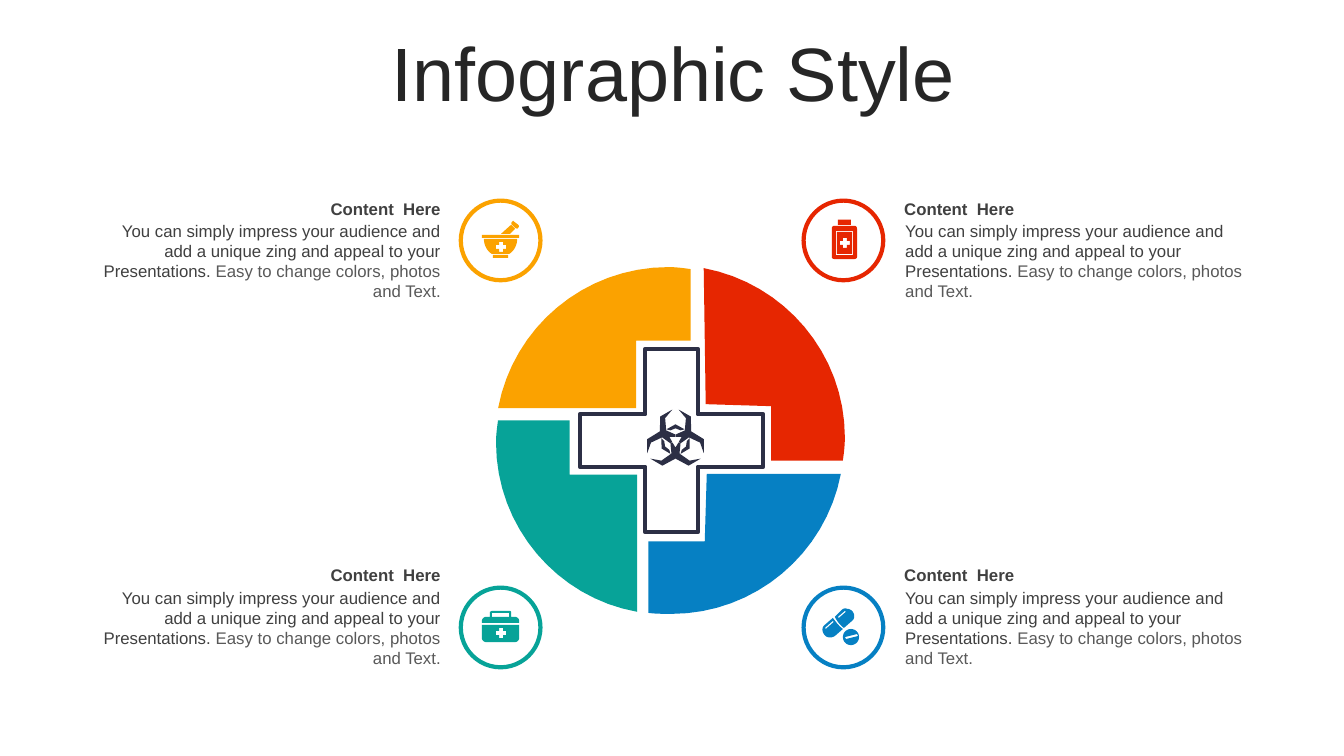
"""Build the four-part medical infographic slide."""
from math import cos, radians, sin

from pptx import Presentation
from pptx.dml.color import RGBColor
from pptx.enum.shapes import MSO_SHAPE as Shape
from pptx.enum.text import MSO_ANCHOR as Anchor
from pptx.enum.text import MSO_AUTO_SIZE as AutoSize
from pptx.enum.text import PP_ALIGN as Align
from pptx.util import Inches, Pt

ORANGE, RED, BLUE, TEAL = "FBA200", "E62601", "0680C3", "07A398"
NAVY, WHITE = "2C2F45", "FFFFFF"
HEADING = "Content  Here"
MESSAGE = ("You can simply impress your audience and add a unique zing "
           "and appeal to your Presentations. ")
DETAIL = "Easy to change colors, photos and Text."
CENTRE = (6.7, 4.37)


def color(value):
    return RGBColor.from_string(value)


def apply(target, values):
    for name, value in values.items():
        setattr(target, name, value)


def rectangle(left, top, right, bottom):
    return [(left, top), (right, top), (right, bottom), (left, bottom)]


def cross(x, y, arm=0.05, half=0.02):
    return [(x - half, y - arm), (x + half, y - arm), (x + half, y - half),
            (x + arm, y - half), (x + arm, y + half), (x + half, y + half),
            (x + half, y + arm), (x - half, y + arm), (x - half, y + half),
            (x - arm, y + half), (x - arm, y - half), (x - half, y - half)]


def circle(x, y, radius, sides=32):
    angles = [radians(360 * side / sides) for side in range(sides)]
    return [(x + radius * cos(a), y + radius * sin(a)) for a in angles]


def flatten(contour, steps=16):
    """Turn six-number Bézier entries of a contour into short straight lines."""
    points = []
    for entry in contour:
        if len(entry) == 2:
            points.append(entry)
            continue
        knots = [points[-1], entry[:2], entry[2:4], entry[4:]]
        for step in range(1, steps + 1):
            t = step / steps
            weights = ((1 - t) ** 3, 3 * t * (1 - t) ** 2, 3 * t * t * (1 - t), t ** 3)
            points.append(tuple(sum(w * knot[axis] for w, knot in zip(weights, knots))
                                for axis in (0, 1)))
    return points


def turn(offsets, degrees):
    c, s = cos(radians(degrees)), sin(radians(degrees))
    return [(CENTRE[0] + x * c - y * s, CENTRE[1] + x * s + y * c) for x, y in offsets]


class SlideBuilder:
    """Hold the text style and the slide that receives each element."""

    def __init__(self, presentation):
        self.slide = presentation.slides.add_slide(presentation.slide_layouts[5])
        self.font = {"name": "Arial", "size": Pt(12), "bold": False}

    def run(self, paragraph, text, fill, **changes):
        run = paragraph.add_run()
        run.text = text
        apply(run.font, {**self.font, **changes})
        run.font.color.rgb = color(fill)

    def place(self, shape, box):
        apply(shape, dict(zip(("left", "top", "width", "height"), map(Inches, box))))

    def title(self, text, box):
        shape = self.slide.shapes.title
        self.place(shape, box)
        apply(shape.text_frame, {"vertical_anchor": Anchor.MIDDLE, "word_wrap": True,
                                 "auto_size": AutoSize.NONE})
        paragraph = shape.text_frame.paragraphs[0]
        apply(paragraph, {"alignment": Align.CENTER, "line_spacing": 0.9})
        self.run(paragraph, text, "262626", size=Pt(54))

    def text(self, box, align, anchor, runs, **changes):
        frame = self.slide.shapes.add_textbox(*map(Inches, box)).text_frame
        apply(frame, {"word_wrap": True, "vertical_anchor": anchor,
                      "auto_size": AutoSize.SHAPE_TO_FIT_TEXT})
        paragraph = frame.paragraphs[0]
        paragraph.alignment = align
        for text, fill in runs:
            self.run(paragraph, text, fill, **changes)

    def paint(self, shape, fill, line):
        shape.shadow.inherit = False
        if fill:
            shape.fill.solid()
            shape.fill.fore_color.rgb = color(fill)
        else:
            shape.fill.background()
        if line:
            shape.line.color.rgb = color(line)
            shape.line.width = Pt(3)
        else:
            shape.line.fill.background()

    def badge(self, left, top, line):
        box = map(Inches, (left, top, 0.79, 0.79))
        self.paint(self.slide.shapes.add_shape(Shape.OVAL, *box), WHITE, line)

    def outline(self, contours, fill=None, line=None):
        builder = None
        for contour in contours:
            points = [(Inches(x), Inches(y)) for x, y in flatten(contour)]
            if builder is None:
                builder = self.slide.shapes.build_freeform(*points[0])
            else:
                builder.move_to(*points[0])
            builder.add_line_segments(points[1:], close=True)
        self.paint(builder.convert_to_shape(), fill, line)


MORTAR = [
    rectangle(4.89, 2.53, 5.04, 2.56), cross(4.97, 2.45),
    [(4.8, 2.37), (5.13, 2.37), (5.13, 2.43, 5.1, 2.49, 5.05, 2.52), (4.88, 2.52),
     (4.83, 2.49, 4.8, 2.43, 4.8, 2.37)],
    rectangle(4.78, 2.33, 5.15, 2.36),
    [(5.07, 2.23), (5.11, 2.27), (5.06, 2.32), (4.97, 2.32)],
    [(5.09, 2.19), (5.1, 2.2), (5.14, 2.23), (5.15, 2.24, 5.15, 2.25, 5.14, 2.26),
     (5.13, 2.27), (5.11, 2.26), (5.08, 2.23), (5.07, 2.22, 5.07, 2.21, 5.08, 2.2)],
]
BOTTLE = [
    cross(8.38, 2.41), rectangle(8.3, 2.3, 8.45, 2.52), rectangle(8.29, 2.29, 8.46, 2.53),
    [(8.28, 2.24), (8.47, 2.24), (8.49, 2.24, 8.5, 2.25, 8.5, 2.27), (8.5, 2.55),
     (8.5, 2.56, 8.49, 2.57, 8.47, 2.57), (8.28, 2.57),
     (8.26, 2.57, 8.25, 2.56, 8.25, 2.55), (8.25, 2.27),
     (8.25, 2.25, 8.26, 2.24, 8.28, 2.24)],
    rectangle(8.31, 2.18, 8.44, 2.23),
]
PILLS = [
    circle(8.44, 6.32, 0.08), [(8.5, 6.29), (8.38, 6.32), (8.39, 6.34), (8.51, 6.31)],
    [(8.26, 6.16), (8.18, 6.23), (8.19, 6.24), (8.27, 6.17)],
    [(8.26, 6.13), (8.29, 6.17, 8.32, 6.21, 8.36, 6.24), (8.28, 6.31),
     (8.25, 6.33, 8.2, 6.33, 8.18, 6.3), (8.15, 6.27, 8.15, 6.22, 8.18, 6.2)],
    [(8.38, 6.06), (8.31, 6.12), (8.32, 6.13), (8.39, 6.07)],
    [(8.4, 6.04), (8.42, 6.04, 8.44, 6.05, 8.45, 6.06),
     (8.48, 6.09, 8.48, 6.14, 8.45, 6.16), (8.37, 6.23),
     (8.33, 6.2, 8.3, 6.16, 8.28, 6.12), (8.35, 6.05), (8.36, 6.04, 8.38, 6.03, 8.4, 6.04)],
]
MEDKIT = [
    cross(4.97, 6.28),
    [(4.78, 6.2), (5.15, 6.2), (5.15, 6.33), (5.15, 6.35, 5.13, 6.37, 5.11, 6.37),
     (4.82, 6.37), (4.8, 6.37, 4.78, 6.35, 4.78, 6.33)],
    rectangle(4.88, 6.08, 5.05, 6.12),
    [(4.88, 6.06), (5.06, 6.06), (5.07, 6.07), (5.07, 6.12), (5.11, 6.12),
     (5.13, 6.12, 5.15, 6.14, 5.15, 6.16), (5.15, 6.18), (4.78, 6.18), (4.78, 6.16),
     (4.78, 6.14, 4.8, 6.12, 4.82, 6.12), (4.86, 6.12), (4.86, 6.07)],
]
ORANGE_SECTOR = [(6.63, 2.65), (6.7, 2.65, 6.78, 2.66, 6.85, 2.67), (6.85, 3.38),
                 (6.31, 3.38), (6.31, 4.05), (4.94, 4.05), (5.09, 3.25, 5.79, 2.65, 6.63, 2.65)]
RED_SECTOR = [(8.38, 4.34), (8.38, 4.42, 8.37, 4.5, 8.36, 4.57), (7.65, 4.57),
              (7.65, 4.03), (7, 4.01), (6.98, 2.66), (7.78, 2.81, 8.38, 3.51, 8.38, 4.34)]
BLUE_SECTOR = [(6.66, 6.09), (6.58, 6.09, 6.5, 6.09, 6.43, 6.08), (6.43, 5.37),
               (6.99, 5.37), (7.01, 4.7), (8.34, 4.7), (8.19, 5.49, 7.49, 6.09, 6.66, 6.09)]
TEAL_SECTOR = [(4.92, 4.39), (4.92, 4.32, 4.93, 4.24, 4.94, 4.17), (5.65, 4.17),
               (5.65, 4.71), (6.32, 4.71), (6.32, 6.07), (5.53, 5.93, 4.92, 5.23, 4.92, 4.39)]
LEFT, RIGHT = (4.57, 0.92, Align.RIGHT), (7.97, 8.88, Align.LEFT)
TOP, BOTTOM = (1.99, 1.92, 2.14), (5.83, 5.55, 5.78)
PARTS = [(ORANGE, LEFT, TOP, ORANGE_SECTOR, MORTAR), (RED, RIGHT, TOP, RED_SECTOR, BOTTLE),
         (BLUE, RIGHT, BOTTOM, BLUE_SECTOR, PILLS), (TEAL, LEFT, BOTTOM, TEAL_SECTOR, MEDKIT)]
HAZARD_HALF = [(0, 0.18), (-0.13, 0.25), (-0.25, 0.18), (-0.14, 0.2), (-0.04, 0.13),
               (-0.05, 0.03), (-0.03, 0.02), (0, 0.07)]
HAZARD_ARM = HAZARD_HALF + [(-x, y) for x, y in HAZARD_HALF[-2:0:-1]]
HAZARD_CHEVRON = [(-0.09, -0.11), (0, -0.16), (0.09, -0.11), (0.05, -0.1), (0, -0.12), (-0.05, -0.1)]


def main():
    presentation = Presentation()
    apply(presentation, {"slide_width": Inches(13.33), "slide_height": Inches(7.5)})
    builder = SlideBuilder(presentation)
    builder.title("Infographic Style", (0.35, 0.37, 12.66, 0.79))
    for fill, (badge_left, text_left, align), (badge_top, head_top, body_top), sector, icon in PARTS:
        builder.badge(badge_left, badge_top, fill)
        builder.outline([sector], fill)
        builder.text((text_left - 0.01, head_top, 3.56, 0.3), align, Anchor.MIDDLE,
                     [(HEADING, "404040")], bold=True)
        builder.text((text_left, body_top, 3.55, 0.91), align, Anchor.TOP,
                     [(MESSAGE, "404040"), (DETAIL, "595959")])
        builder.outline(icon, fill)
    builder.outline([cross(6.66, 4.37, 0.91, 0.26)], line=NAVY)
    for part in (HAZARD_ARM, HAZARD_CHEVRON):
        for degrees in (0, 120, 240):
            builder.outline([turn(part, degrees)], NAVY)
    presentation.save("out.pptx")


if __name__ == "__main__":
    main()
